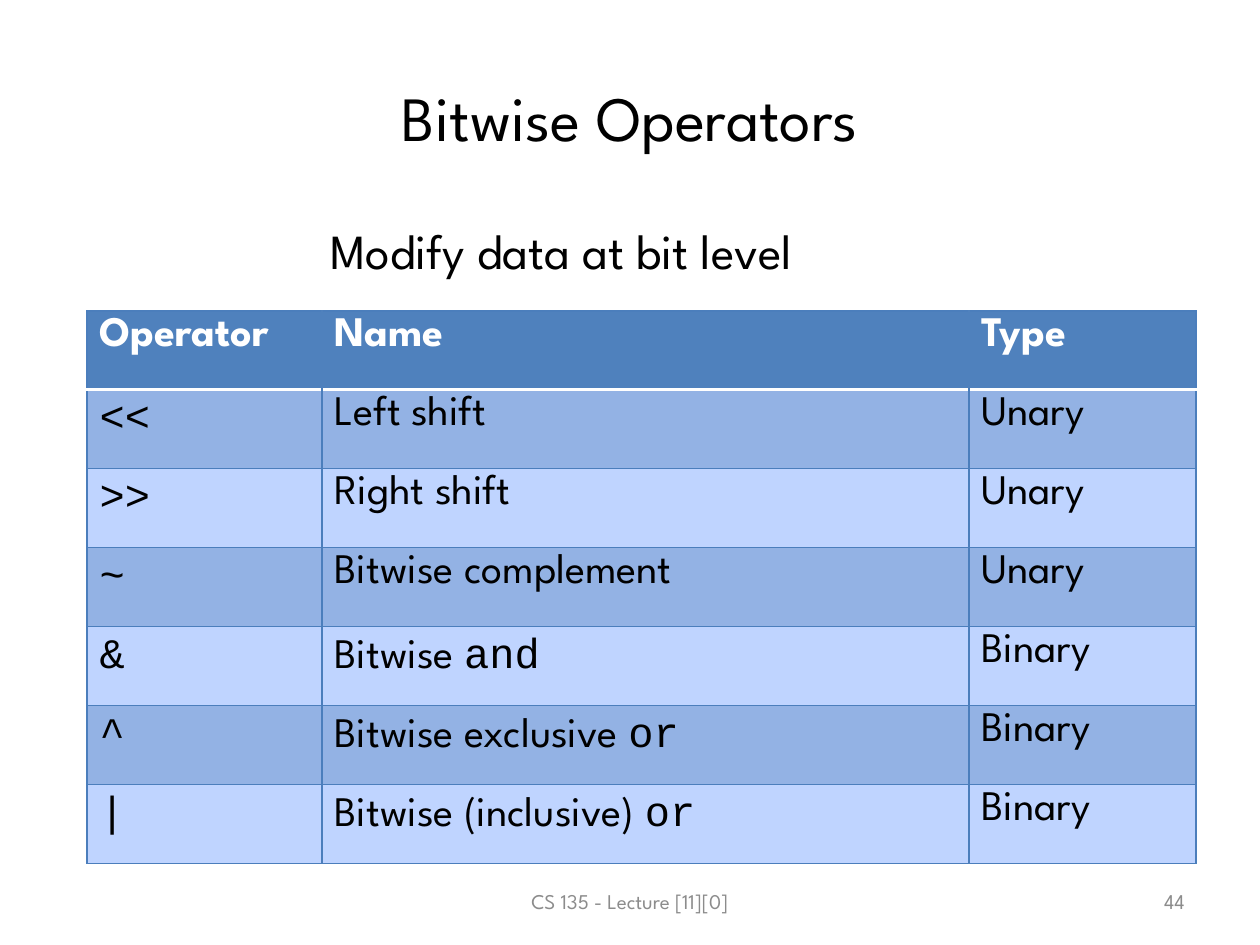
from dataclasses import dataclass

from lxml import etree
from pptx import Presentation
from pptx import util as u
from pptx.dml.color import RGBColor
from pptx.enum import text
from pptx.oxml.ns import qn

COLORS = {
    "ink": "000000", "white": "FFFFFF", "muted": "8C8C8C", "header": "4F81BD",
    "border": "4B7EBC", "dark_band": "93B2E4", "light_band": "BFD4FF",
}
SANS, MONO = "League Spartan", "Courier New"
PX_PER_INCH = 126


@dataclass
class Label:
    text: str
    box: tuple[int, int, int, int]
    size: int
    color: str
    align: text.PP_ALIGN
    anchor: text.MSO_ANCHOR
    wrap: bool = True


@dataclass
class Operator:
    symbol: str
    name: str
    kind: str
    keyword: str = ""


LABELS = [
    Label("CS 135 - Lecture [11][0]", (430, 876, 400, 50), 12, "muted",
          text.PP_ALIGN.CENTER, text.MSO_ANCHOR.MIDDLE),
    Label("44", (903, 876, 294, 50), 12, "muted",
          text.PP_ALIGN.RIGHT, text.MSO_ANCHOR.MIDDLE),
    Label("Modify data at bit level", (318, 214, 585, 72), 28, "ink",
          text.PP_ALIGN.LEFT, text.MSO_ANCHOR.TOP, wrap=False),
]
HEADINGS = ["Operator", "Name", "Type"]
OPERATORS = [
    Operator("<<", "Left shift", "Unary"),
    Operator(">>", "Right shift", "Unary"),
    Operator("~", "Bitwise complement", "Unary"),
    Operator("&", "Bitwise ", "Binary", "and"),
    Operator("^", "Bitwise exclusive ", "Binary", "or"),
    Operator("|", "Bitwise (inclusive) ", "Binary", "or"),
]
TABLE_LEFT, TABLE_TOP, ROW_HEIGHT = 87, 311, 79
COLUMN_WIDTHS = [235, 647, 227]


def px(n: int) -> u.Emu:
    return u.Emu(round(n * 914400 / PX_PER_INCH))


def rgb(name: str) -> RGBColor:
    return RGBColor.from_string(COLORS[name])


def style(font, size: int, color: str, name: str = SANS, bold: bool = False) -> None:
    font.size, font.name, font.bold = u.Pt(size), name, bold
    font.color.rgb = rgb(color)


def place(sp, box: tuple[int, int, int, int]) -> None:
    sp.left, sp.top, sp.width, sp.height = map(px, box)


def add_label(slide, label: Label) -> None:
    sp = slide.shapes.add_textbox(*map(px, label.box))
    tf = sp.text_frame
    tf.word_wrap, tf.vertical_anchor = label.wrap, label.anchor
    p = tf.paragraphs[0]
    p.text, p.alignment = label.text, label.align
    style(p.font, label.size, label.color)


def set_borders(cell, sides: dict[str, tuple[str, float]]) -> None:
    """Border lines must come before the fill, in the order L, R, T, B."""
    tc_pr = cell._tc.get_or_add_tcPr()
    for i, side in enumerate("LRTB"):
        color, width = sides[side]
        ln = etree.Element(qn(f"a:ln{side}"), w=str(u.Pt(width)))
        fill = etree.SubElement(ln, qn("a:solidFill"))
        etree.SubElement(fill, qn("a:srgbClr"), val=COLORS[color])
        tc_pr.insert(i, ln)


def fill_cell(cell, runs: list[tuple[str, str]], fill: str, color: str, bold: bool) -> None:
    cell.fill.solid()
    cell.fill.fore_color.rgb = rgb(fill)
    p = cell.text_frame.paragraphs[0]
    for words, font_name in runs:
        r = p.add_run()
        r.text = words
        style(r.font, 24, color, font_name, bold)


def add_operator_table(slide) -> None:
    rows = [[[(h, SANS)] for h in HEADINGS]]
    for op in OPERATORS:
        name = [(op.name, SANS)] + ([(op.keyword, MONO)] if op.keyword else [])
        rows.append([[(op.symbol, MONO)], name, [(op.kind, SANS)]])

    table = slide.shapes.add_table(
        len(rows), len(COLUMN_WIDTHS), px(TABLE_LEFT), px(TABLE_TOP),
        px(sum(COLUMN_WIDTHS)), px(ROW_HEIGHT * len(rows))).table
    for column, width in zip(table.columns, COLUMN_WIDTHS):
        column.width = px(width)

    thin, rule, blend = ("border", 0.75), ("white", 2), ("header", 0.75)
    last = len(COLUMN_WIDTHS) - 1
    for i, row in enumerate(rows):
        table.rows[i].height = px(ROW_HEIGHT)
        is_header = i == 0
        fill = "header" if is_header else "dark_band" if i % 2 else "light_band"
        for j, runs in enumerate(row):
            cell = table.cell(i, j)
            fill_cell(cell, runs, fill, "white" if is_header else "ink", is_header)
            set_borders(cell, {
                "L": blend if is_header and j > 0 else thin,
                "R": blend if is_header and j < last else thin,
                "T": rule if i == 1 else thin,
                "B": rule if is_header else thin,
            })


def main() -> None:
    prs = Presentation()
    prs.slide_width, prs.slide_height = px(1260), px(945)
    slide = prs.slides.add_slide(prs.slide_layouts[5])

    # Title
    title = slide.shapes.title
    place(title, (63, 38, 1134, 157))
    title.text_frame.vertical_anchor = text.MSO_ANCHOR.MIDDLE
    p = title.text_frame.paragraphs[0]
    p.text, p.alignment = "Bitwise Operators", text.PP_ALIGN.CENTER
    style(p.font, 36, "ink")

    # Table, then subtitle and footer
    add_operator_table(slide)
    for label in LABELS:
        add_label(slide, label)
    prs.save("out.pptx")


if __name__ == "__main__":
    main()
